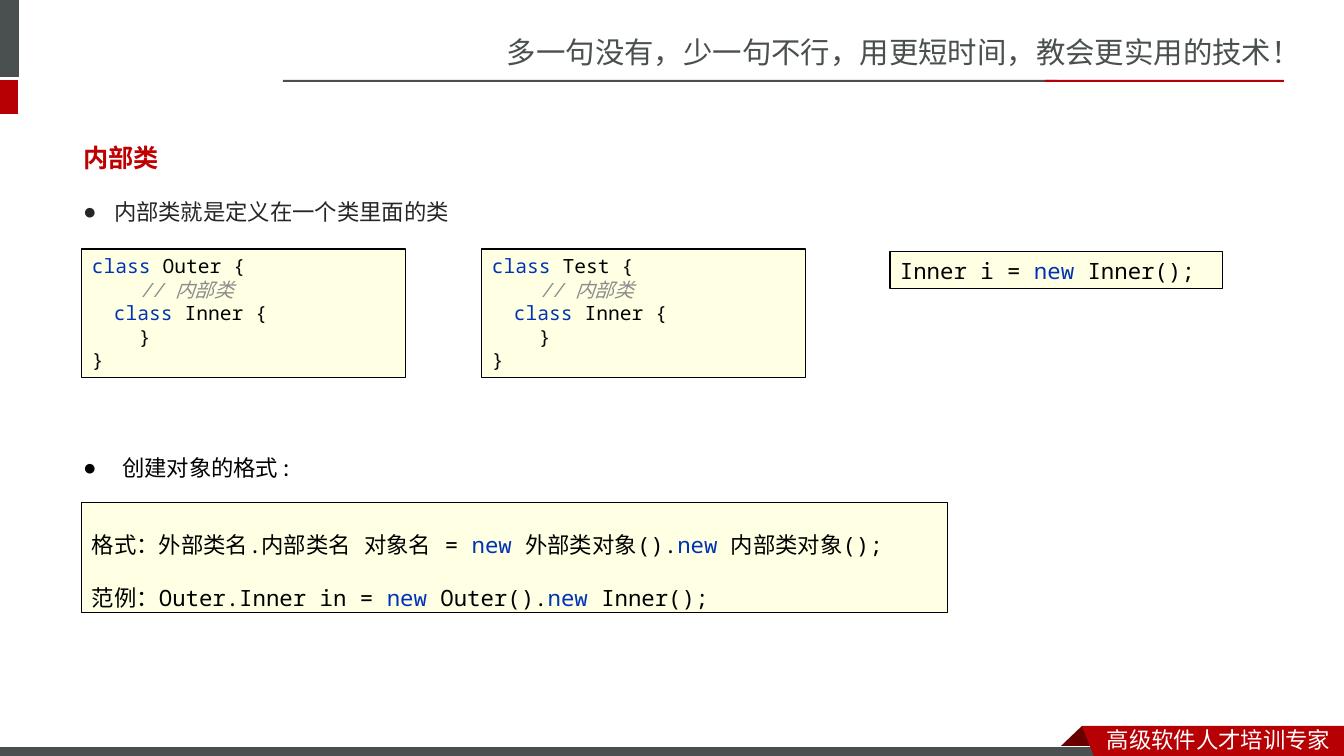
from pptx import Presentation
from pptx import util as u
from pptx.dml.color import RGBColor
from pptx.enum import shapes, text
from pptx.oxml.ns import qn
from lxml import etree

PX = 12700 * 72 / 100.8
THEME = {
    "grey": "49504F", "red": "B60004", "dark red": "680000", "white": "FFFFFF",
    "title": "C00000", "body": "262626", "black": "000000", "cream": "FFFFE4",
    "keyword": "0033B3", "symbol": "080808", "comment": "8C8C8C",
    "sans": "Noto Sans CJK SC", "heading": "Noto Sans CJK JP", "mono": "Noto Sans Mono",
    "slogan size": 21, "title size": 18, "body size": 16, "code size": 14,
}


def place(shape, box, fill=None, line=None):
    shape.left, shape.top, shape.width, shape.height = [round(n * PX) for n in box]
    if fill:
        shape.shadow.inherit = False
        shape.fill.solid()
        shape.fill.fore_color.rgb = RGBColor.from_string(THEME[fill])
        if line:
            shape.line.color.rgb = RGBColor.from_string(THEME[line])
            shape.line.width = u.Pt(0.75)
        else:
            shape.line.fill.background()


def write(shape, lines, font, size, anchor=text.MSO_ANCHOR.MIDDLE, spacing=1.0):
    frame = shape.text_frame
    frame.word_wrap = True
    frame.auto_size = text.MSO_AUTO_SIZE.NONE
    frame.vertical_anchor = anchor
    for number, (indent, pieces) in enumerate(lines):
        paragraph = frame.add_paragraph() if number else frame.paragraphs[0]
        paragraph.alignment = text.PP_ALIGN.LEFT
        paragraph.line_spacing = spacing
        paragraph.space_before = u.Pt(0)
        properties = paragraph._p.get_or_add_pPr()
        properties.set("marL", str(round(indent * PX)))
        properties.set("indent", "0")
        for words, color in pieces:
            run = paragraph.add_run()
            run.text = words
            run.font.name = THEME[font]
            run.font.size = u.Pt(THEME[size])
            run.font.bold = color == "title"
            run.font.italic = color == "comment"
            run.font.color.rgb = RGBColor.from_string(THEME[color])
            east_asian = etree.Element(qn("a:ea"), typeface=THEME[font])
            run._r.rPr.find(qn("a:latin")).addnext(east_asian)


deck = Presentation()
deck.slide_width, deck.slide_height = round(1344 * PX), round(756 * PX)
slide = deck.slides.add_slide(deck.slide_layouts[3])
canvas = slide.shapes

bands = [
    ((-6, 0, 25, 77), "grey", None),
    ((-6, 80, 24, 34), "red", None),
    ((283, 80, 774, 2), "grey", None),
    ((1045, 80, 239, 2), "red", None),
    ((-1, 747, 1109, 12), "grey", "white"),
]
for box, fill, line in bands:
    band = canvas.add_shape(shapes.MSO_SHAPE.RECTANGLE, 0, 0, 0, 0)
    place(band, box, fill, line)

ribbons = [
    ([(1082, 726), (1103, 746), (1061, 746)], "dark red"),
    ([(1082, 726), (1344, 726), (1344, 760), (1095, 759)], "red"),
]
for corners, fill in ribbons:
    outline = canvas.build_freeform(*corners[0], scale=PX)
    outline.add_line_segments(corners[1:], close=True)
    ribbon = outline.convert_to_shape()
    ribbon.shadow.inherit = False
    ribbon.fill.solid()
    ribbon.fill.fore_color.rgb = RGBColor.from_string(THEME[fill])
    ribbon.line.fill.background()

slogans = [
    ((497, 28, 848, 47), "多一句没有，少一句不行，用更短时间，教会更实用的技术！", "slogan size", "grey"),
    ((1097, 721, 247, 37), "高级软件人才培训专家", "body size", "white"),
]
for box, words, size, color in slogans:
    slogan = canvas.add_textbox(0, 0, 0, 0)
    place(slogan, box)
    write(slogan, [(0, [(words, color)])], "sans", size)

place(canvas.title, (73, 106, 1260, 102))
write(canvas.title, [(0, [("内部类", "title")])], "heading", "title size")

points = [
    (1, (73, 184, 1260, 56), 31, "内部类就是定义在一个类里面的类", "body"),
    (2, (73, 423, 1100, 90), 39, "创建对象的格式 :", "black"),
]
for index, box, hanging, words, color in points:
    point = slide.placeholders[index]
    place(point, box)
    write(point, [(hanging, [(words, color)])], "heading", "body size")
    properties = point.text_frame.paragraphs[0]._p.pPr
    properties.set("indent", str(round(-hanging * PX)))
    etree.SubElement(properties, qn("a:buChar"), char="●")

for left, class_name in ((82, "Outer "), (482, "Test ")):
    listing = canvas.add_shape(shapes.MSO_SHAPE.RECTANGLE, 0, 0, 0, 0)
    place(listing, (left, 249, 324, 129), "cream", "black")
    write(listing, [
        (0, [("class ", "keyword"), (class_name, "black"), ("{", "symbol")]),
        (48, [("// 内部类", "comment")]),
        (22, [("class ", "keyword"), ("Inner ", "black"), ("{", "symbol")]),
        (47, [("}", "symbol")]),
        (0, [("}", "symbol")]),
    ], "mono", "code size", text.MSO_ANCHOR.TOP)

statements = [
    ((890, 252, 333, 37), 1.0, [
        (0, [("Inner i = ", "black"), ("new ", "keyword"), ("Inner();", "black")]),
    ]),
    ((82, 502, 866, 111), 2.0, [
        (0, [("格式：外部类名.内部类名 对象名 = ", "black"), ("new ", "keyword"),
             ("外部类对象().", "black"), ("new ", "keyword"), ("内部类对象();", "black")]),
        (0, [("范例：Outer.Inner in = ", "black"), ("new", "keyword"),
             (" Outer().", "black"), ("new ", "keyword"), ("Inner();", "black")]),
    ]),
]
for box, spacing, lines in statements:
    statement = canvas.add_shape(shapes.MSO_SHAPE.RECTANGLE, 0, 0, 0, 0)
    place(statement, box, "cream", "black")
    write(statement, lines, "mono", "body size", spacing=spacing)

deck.save("out.pptx")
